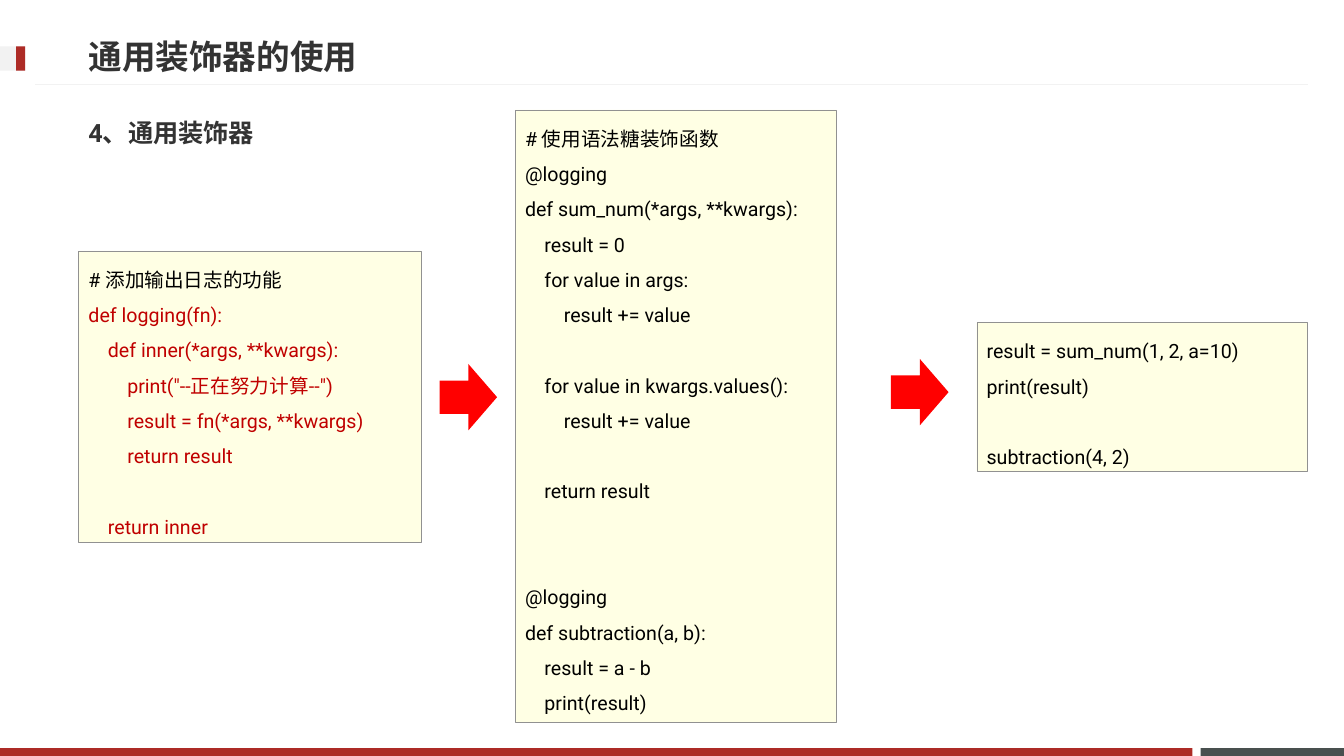
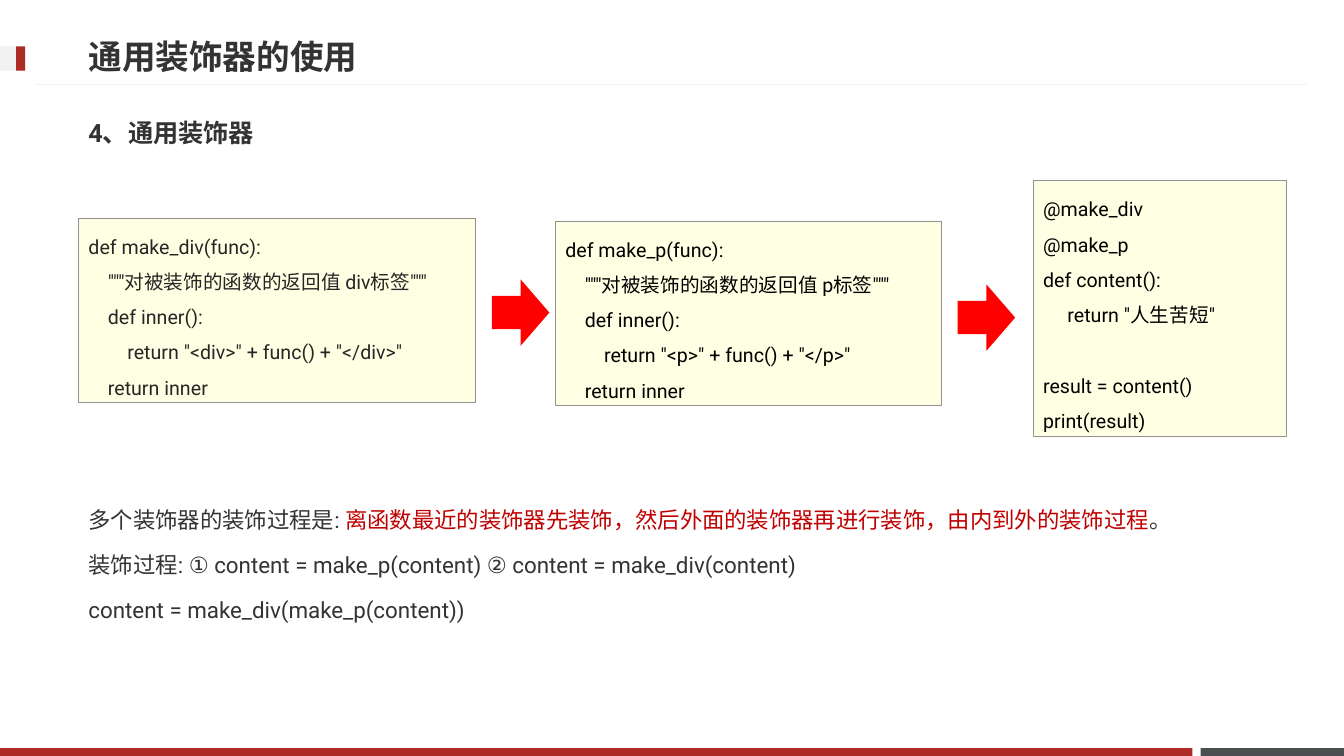
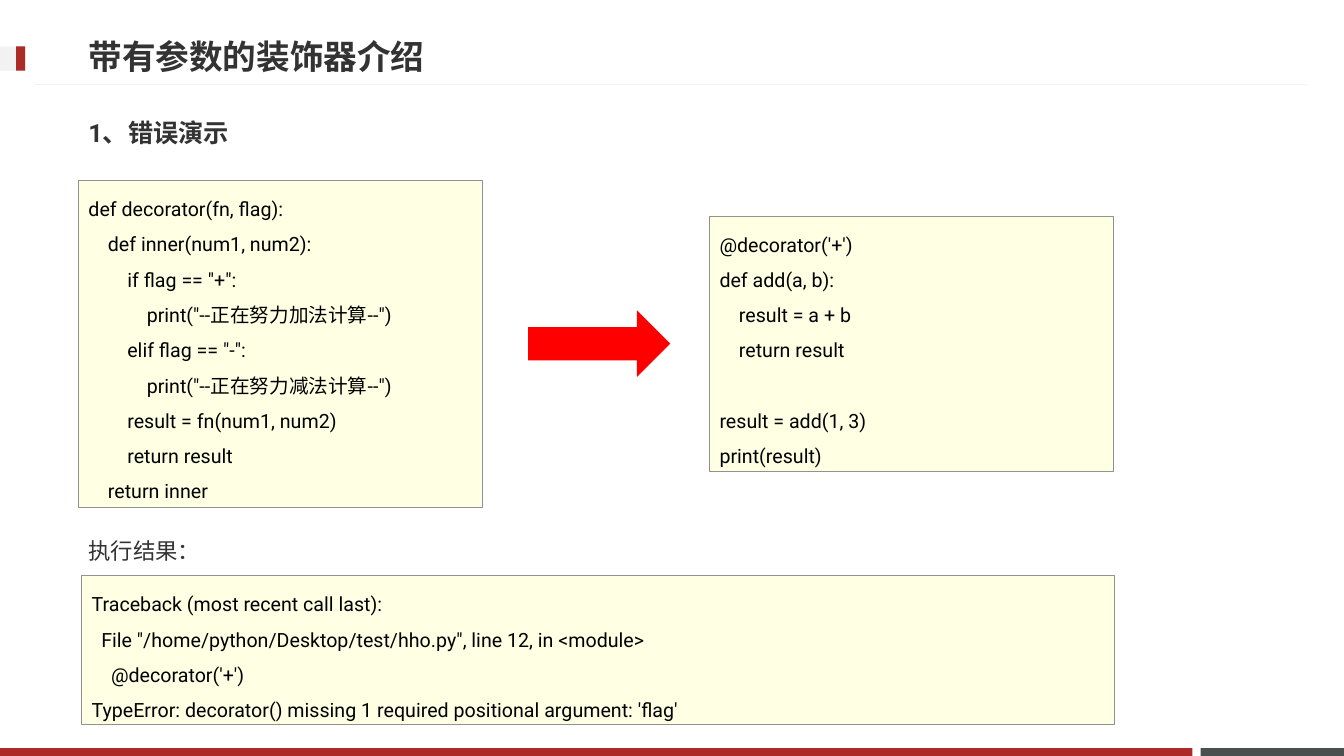
from dataclasses import dataclass

from pptx import Presentation
from pptx.dml.color import RGBColor
from pptx.enum.shapes import MSO_CONNECTOR, MSO_SHAPE
from pptx.enum.text import MSO_ANCHOR, PP_ALIGN
from pptx.oxml.ns import qn
from pptx.util import Inches, Pt


@dataclass(frozen=True)
class Theme:
    font: str = "Roboto"
    ink: str = "333333"
    black: str = "000000"
    soft: str = "262626"
    alert: str = "C00000"
    arrow: str = "FF0000"
    brand: str = "AD2B26"
    slate: str = "49504F"
    pale: str = "F2F2F2"
    cream: str = "FFFFE4"
    edge: str = "919191"
    head: int = 24
    sub: int = 18
    body: int = 16
    code: int = 14
    step: float = 3.47
    gap: float = 25.2
    row: float = 1.7
    left: float = 3.74
    wide: float = 56.45
    line: float = 2.74


class Deck:
    cols, rows = 64, 36

    def __init__(self, theme):
        self.theme = theme
        self.show = Presentation()
        self.show.slide_width = Inches(13.33)
        self.show.slide_height = Inches(7.5)
        self.page = None

    def x(self, col):
        return round(self.show.slide_width * col / self.cols)

    def y(self, row):
        return round(self.show.slide_height * row / self.rows)

    def area(self, left, top, wide, high):
        return self.x(left), self.y(top), self.x(wide), self.y(high)

    def block(self, left, top, wide, high, fill, kind=MSO_SHAPE.RECTANGLE):
        shape = self.page.shapes.add_shape(kind, *self.area(left, top, wide, high))
        shape.shadow.inherit = False
        shape.fill.solid()
        shape.fill.fore_color.rgb = RGBColor.from_string(fill)
        shape.line.fill.background()
        return shape

    def rule(self, start, end, row):
        line = self.page.shapes.add_connector(
            MSO_CONNECTOR.STRAIGHT, self.x(start), self.y(row), self.x(end), self.y(row))
        line.line.color.rgb = RGBColor.from_string(self.theme.pale)
        line.line.width = Pt(0.75)
        props = line._element.spPr
        props.append(props.makeelement(qn("a:effectLst"), {}))

    def style(self, para, size, ink, bold=False):
        para.alignment = PP_ALIGN.LEFT
        para.font.name = self.theme.font
        para.font.size = Pt(size)
        para.font.bold = bold
        para.font.color.rgb = RGBColor.from_string(ink)

    def paras(self, frame, count):
        return [frame.paragraphs[0]] + [frame.add_paragraph() for _ in range(count - 1)]

    def label(self, top, text, size, wide):
        t = self.theme
        frame = self.page.shapes.add_textbox(*self.area(t.left, top, wide, t.line)).text_frame
        frame.word_wrap = True
        frame.vertical_anchor = MSO_ANCHOR.MIDDLE
        para = frame.paragraphs[0]
        para.text = text
        self.style(para, size, t.ink, True)

    def slide(self, title, sub):
        t = self.theme
        self.page = self.show.slides.add_slide(self.show.slide_layouts[6])
        self.block(57.17, 35.62, 6.83, 0.38, t.slate)
        self.block(0, 35.62, 56.78, 0.38, t.brand)
        self.rule(1.68, 62.3, 4.03)
        self.block(0, 2.21, 1.2, 1.15, t.pale)
        self.block(0.77, 2.21, 0.43, 1.15, t.brand)
        self.label(1.3, title, t.head, 46.03)
        self.label(4.94, sub, t.sub, t.wide)

    def code(self, left, top, wide, text, ink=None, first=None):
        t = self.theme
        lines = text.strip("\n").split("\n")
        box = self.block(left, top, wide, len(lines) * t.row + 0.28, t.cream)
        box.line.color.rgb = RGBColor.from_string(t.edge)
        box.line.width = Pt(0.25)
        frame = box.text_frame
        frame.word_wrap = True
        frame.vertical_anchor = MSO_ANCHOR.TOP
        ink = ink or t.black
        skip = 0
        spare = iter(self.paras(frame, sum(map(bool, lines))))
        for spot, line in enumerate(lines):
            if not line:
                skip += 1
                continue
            para = next(spare)
            para.text = line.lstrip()
            self.style(para, t.code, first if first and spot == 0 else ink)
            para.line_spacing = 1.5
            para.space_before = Pt(skip * t.gap)
            depth = len(line) - len(para.text)
            props = para._p.get_or_add_pPr()
            props.set("marL", str(Pt(depth * t.step)))
            props.set("indent", "0")
            skip = 0

    def arrow(self, left, top, wide=2.74):
        self.block(left, top, wide, 3.17, self.theme.arrow, MSO_SHAPE.RIGHT_ARROW)

    def prose(self, top, high, *lines):
        t = self.theme
        frame = self.page.shapes.add_textbox(*self.area(t.left, top, t.wide, high)).text_frame
        frame.word_wrap = True
        for para, parts in zip(self.paras(frame, len(lines)), lines):
            self.style(para, t.body, t.ink)
            para.line_spacing = 1.5
            para.space_before = Pt(t.body * 0.2)
            for spot, part in enumerate(parts):
                run = para.add_run()
                run.text = part
                if spot % 2:
                    run.font.color.rgb = RGBColor.from_string(t.alert)


def main():
    theme = Theme()
    deck = Deck(theme)
    left = theme.left

    deck.slide("通用装饰器的使用", "4、通用装饰器")
    deck.code(left, 11.95, 16.32, '''
# 添加输出日志的功能
def logging(fn):
    def inner(*args, **kwargs):
        print("--正在努力计算--")
        result = fn(*args, **kwargs)
        return result

    return inner
''', theme.alert, theme.black)
    deck.arrow(20.93, 17.33)
    deck.code(24.53, 5.23, 15.31, '''
# 使用语法糖装饰函数
@logging
def sum_num(*args, **kwargs):
    result = 0
    for value in args:
        result += value

    for value in kwargs.values():
        result += value

    return result


@logging
def subtraction(a, b):
    result = a - b
    print(result)
''')
    deck.code(46.51, 15.36, 15.74, '''
result = sum_num(1, 2, a=10)
print(result)

subtraction(4, 2)
''')
    deck.arrow(42.43, 17.09)

    deck.slide("通用装饰器的使用", "4、通用装饰器")
    wrap = '''
def make_{0}(func):
    """对被装饰的函数的返回值 {0}标签"""
    def inner():
        return "<{0}>" + func() + "</{0}>"
    return inner
'''
    deck.code(left, 10.37, 18.91, wrap.format("div"), theme.soft)
    deck.arrow(23.42, 13.3)
    deck.code(26.45, 10.51, 18.38, wrap.format("p"))
    deck.code(49.2, 8.59, 12.05, '''
@make_div
@make_p
def content():
     return "人生苦短"

result = content()
print(result)
''')
    deck.arrow(45.6, 13.54)
    deck.prose(
        23.23, 7.68,
        ["多个装饰器的装饰过程是: ",
         "离函数最近的装饰器先装饰，然后外面的装饰器再进行装饰，由内到外的装饰过程", "。"],
        ["装饰过程: ① content = make_p(content) ② content = make_div(content)"],
        ["content = make_div(make_p(content))"])

    deck.slide("带有参数的装饰器介绍", "1、错误演示")
    deck.code(left, 8.59, 19.2, '''
def decorator(fn, flag):
    def inner(num1, num2):
        if flag == "+":
            print("--正在努力加法计算--")
        elif flag == "-":
            print("--正在努力减法计算--")
        result = fn(num1, num2)
        return result
    return inner
''')
    deck.arrow(25.15, 14.78, 6.77)
    deck.code(33.79, 10.27, 19.2, '''
@decorator('+')
def add(a, b):
    result = a + b
    return result

result = add(1, 3)
print(result)
''')
    deck.prose(24.72, theme.line, ["执行结果："])
    deck.code(3.89, 27.41, 49.15, '''
Traceback (most recent call last):
  File "/home/python/Desktop/test/hho.py", line 12, in <module>
    @decorator('+')
TypeError: decorator() missing 1 required positional argument: 'flag'
''')
    deck.show.save("out.pptx")


if __name__ == "__main__":
    main()
